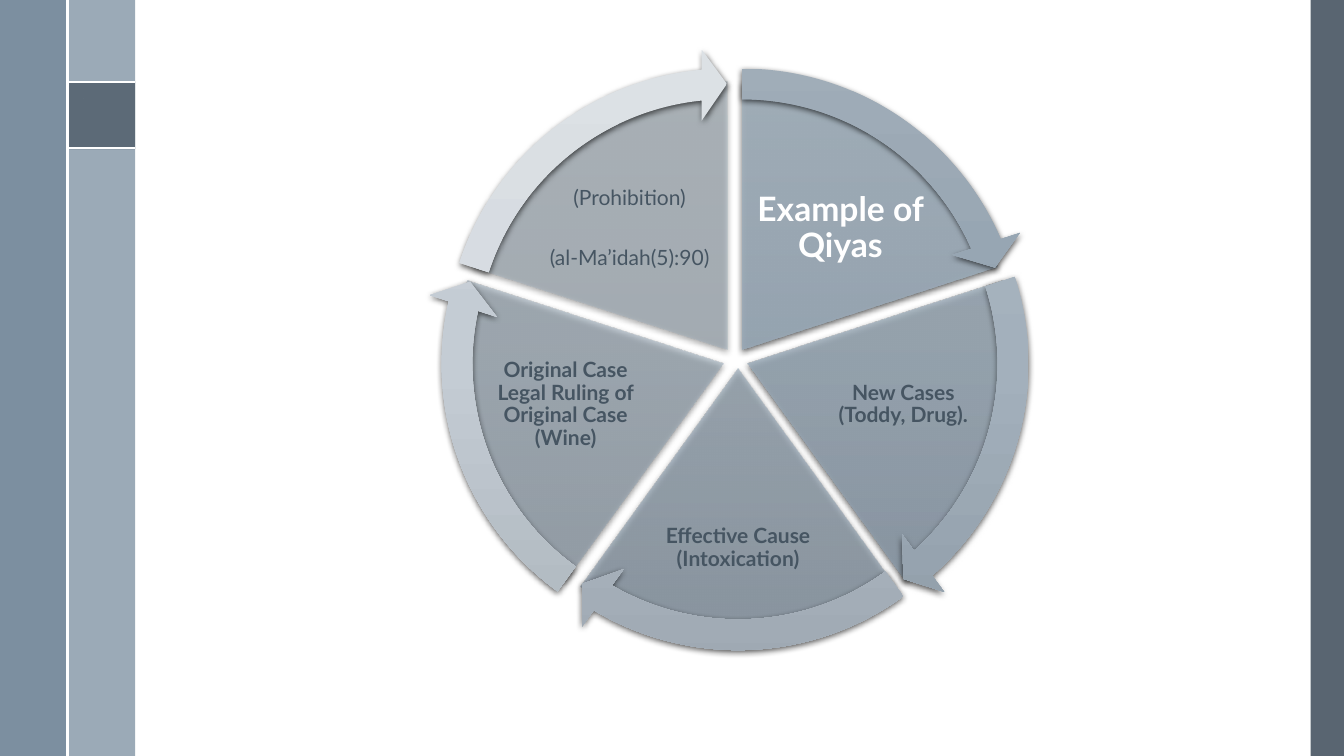
from lxml.etree import SubElement
from pptx import Presentation
from pptx.dml.color import RGBColor
from pptx.enum.shapes import MSO_CONNECTOR, MSO_SHAPE
from pptx.enum.text import MSO_ANCHOR, PP_ALIGN
from pptx.oxml.ns import qn
from pptx.util import Inches, Pt

WHITE = RGBColor(0xFF, 0xFF, 0xFF)
BLACK = RGBColor(0, 0, 0)
SLATE = RGBColor(0x47, 0x55, 0x62)
STEEL = RGBColor(0x6A, 0x80, 0x93)
MIST = RGBColor(0x9B, 0xAA, 0xB7)
INK = RGBColor(0x46, 0x55, 0x62)
PIE_COLORS = [RGBColor(0xA6, 0xB4, 0xBF), RGBColor(0x9A, 0xAA, 0xB8), RGBColor(0x87, 0x97, 0xA6)]
ARROW_COLORS = [
    [RGBColor(0xA0, 0xAD, 0xB8), RGBColor(0x93, 0xA2, 0xB0), RGBColor(0x81, 0x91, 0x9E)],
    [RGBColor(0xAF, 0xB9, 0xC3), RGBColor(0xA3, 0xB0, 0xBC), RGBColor(0x90, 0x9D, 0xA8)],
    [RGBColor(0xBE, 0xC6, 0xCE), RGBColor(0xB4, 0xBE, 0xC8), RGBColor(0x9F, 0xA9, 0xB3)],
    [RGBColor(0xCD, 0xD3, 0xD9), RGBColor(0xC4, 0xCC, 0xD4), RGBColor(0xAD, 0xB6, 0xBD)],
    [RGBColor(0xDC, 0xE1, 0xE5), RGBColor(0xD5, 0xDA, 0xE0), RGBColor(0xBC, 0xC2, 0xC8)],
]
FONT = "Lato"
PI_START = (0.35, 0)
PI_OUTLINE = [
    (0.07, 0), (0.02, 0, 0, 0.05, 0, 0.06), (0, 0.06, 0, 0.07, 0.01, 0.07),
    (0.02, 0.07), (0.02, 0.07, 0.04, 0.03, 0.07, 0.03), (0.11, 0.03),
    (0.11, 0.07, 0.1, 0.24, 0.05, 0.29), (0.04, 0.3, 0.04, 0.3, 0.05, 0.31),
    (0.06, 0.31), (0.07, 0.31), (0.12, 0.25, 0.13, 0.07, 0.14, 0.03),
    (0.23, 0.03), (0.22, 0.24), (0.22, 0.24, 0.21, 0.28, 0.24, 0.31),
    (0.25, 0.32, 0.26, 0.32, 0.27, 0.32), (0.27, 0.32, 0.28, 0.32, 0.29, 0.32),
    (0.34, 0.32, 0.36, 0.25, 0.36, 0.24), (0.36, 0.24, 0.35, 0.23, 0.35, 0.23),
    (0.34, 0.23, 0.33, 0.23, 0.33, 0.24), (0.33, 0.24, 0.32, 0.29, 0.28, 0.3),
    (0.27, 0.3, 0.26, 0.3, 0.25, 0.29), (0.24, 0.28, 0.24, 0.25, 0.24, 0.24),
    (0.26, 0.03), (0.35, 0.03), (0.36, 0.03, 0.36, 0.02, 0.36, 0.02),
    (0.36, 0.01, 0.36, 0, 0.35, 0),
]


def add_color(parent, color, alpha):
    clr = SubElement(parent, qn("a:srgbClr"), val=str(color))
    SubElement(clr, qn("a:alpha"), val=str(alpha * 1000))


def add_filled(slide, kind, box, colors, alpha=100, adj=(), shadow=False):
    s = slide.shapes.add_shape(kind, *map(Inches, box))
    for i, value in enumerate(adj):
        s.adjustments[i] = value
    s.shadow.inherit = False
    s.line.fill.background()
    if len(colors) == 1:
        s.fill.solid()
        s.fill.fore_color.rgb = colors[0]
        clr = s._element.spPr.find(".//" + qn("a:srgbClr"))
        SubElement(clr, qn("a:alpha"), val=str(alpha * 1000))
    else:
        s.fill.gradient()
        s.fill.gradient_angle = 270
        stops = s._element.spPr.find(".//" + qn("a:gsLst"))
        for gs in list(stops):
            stops.remove(gs)
        for i, color in enumerate(colors):
            add_color(SubElement(stops, qn("a:gs"), pos=str(i * 50000)), color, alpha)
    if shadow:
        effects = s._element.spPr.find(qn("a:effectLst"))
        shade = SubElement(effects, qn("a:outerShdw"), blurRad=str(Pt(4.5)),
                           dist=str(Pt(1.5)), dir="5400000", rotWithShape="0")
        add_color(shade, BLACK, 63)
    return s


def add_text(slide, box, lines, size=15, color=INK, bold=True, gap=0):
    s = slide.shapes.add_textbox(*map(Inches, box))
    tf = s.text_frame
    tf.word_wrap = True
    tf.vertical_anchor = MSO_ANCHOR.MIDDLE
    tf.margin_left = tf.margin_right = tf.margin_top = tf.margin_bottom = Inches(0.02)
    for i, line in enumerate(lines):
        p = tf.paragraphs[0] if i == 0 else tf.add_paragraph()
        p.alignment = PP_ALIGN.CENTER
        p.line_spacing = 0.9
        p.space_before = Pt(gap if i else 0)
        r = p.add_run()
        r.text = line
        r.font.name = FONT
        r.font.size = Pt(size)
        r.font.bold = bold
        r.font.color.rgb = color


def add_rule(slide, x1, y1, x2, y2):
    c = slide.shapes.add_connector(MSO_CONNECTOR.STRAIGHT, *map(Inches, (x1, y1, x2, y2)))
    c.line.color.rgb = WHITE
    c.line.width = Pt(1.5)
    SubElement(c._element.spPr, qn("a:effectLst"))


def add_pi(slide, left, top):
    x, y = PI_START
    points = []
    for seg in PI_OUTLINE:
        if len(seg) == 6:
            x1, y1, x2, y2, x3, y3 = seg
            for t in (0.2, 0.4, 0.6, 0.8):
                a, b, c, d = (1 - t) ** 3, 3 * t * (1 - t) ** 2, 3 * t * t * (1 - t), t ** 3
                points.append((a * x + b * x1 + c * x2 + d * x3, a * y + b * y1 + c * y2 + d * y3))
        x, y = seg[-2:]
        points.append((x, y))
    fb = slide.shapes.build_freeform(*PI_START, scale=Inches(1))
    fb.add_line_segments(points, close=True)
    s = fb.convert_to_shape(Inches(left), Inches(top))
    s.shadow.inherit = False
    s.fill.solid()
    s.fill.fore_color.rgb = WHITE
    s.line.fill.background()


def add_frame(slide, left, top, width, height):
    band, badge_top = 0.67, 0.81
    rect = MSO_SHAPE.RECTANGLE
    add_filled(slide, rect, (left + width - 0.33, top, 0.33, height), [SLATE], 90)
    add_filled(slide, rect, (left + band, top, band, height), [MIST])
    add_filled(slide, rect, (left, top, band, height), [STEEL], 88)
    add_filled(slide, rect, (left + band, top + badge_top, band, band), [SLATE], 75)
    for y in (top + badge_top, top + badge_top + 0.66):
        add_rule(slide, left + band, y, left + 2 * band, y)
    add_pi(slide, left + 0.83, top + 0.98)
    add_rule(slide, left + band, top, left + band, top + height)


def add_cycle(slide, left, top, size):
    sector, start, tip, rim = 43.2, 162, 3.275, 0.33
    offsets = [(0.19, 0), (0.24, 0.14), (0.15, 0.19), (0, 0.14), (0.04, 0)]
    labels = [
        ((2.97, 0.89, 1.71, 1.14), ["Example of Qiyas"], dict(size=24, color=WHITE)),
        ((3.66, 2.57, 1.58, 1.27), ["New Cases (Toddy, Drug)."], {}),
        ((2.05, 3.93, 1.52, 1.39), ["Effective Cause (Intoxication)"], {}),
        ((0.31, 2.57, 1.58, 1.27), ["Original Case Legal Ruling of Original Case (Wine)"], {}),
        ((0.88, 0.89, 1.71, 1.14), ["(Prohibition)", "(al-Ma’idah(5):90)"],
         dict(bold=False, gap=26.6)),
    ]
    for i, ((dx, dy), (box, lines, style)) in enumerate(zip(offsets, labels)):
        begin = (start + i * sector) % 216
        end = (begin + sector) % 216
        add_filled(slide, MSO_SHAPE.PIE, (left + dx, top + dy, size, size), PIE_COLORS,
                   90 - 10 * i, (begin, end), True)
        x, y, w, h = box
        add_text(slide, (left + x, top + y, w, h), lines, **style)
    for i, ((dx, dy), colors) in enumerate(zip(offsets, ARROW_COLORS)):
        begin = (start + i * sector) % 216
        end = (begin + sector) % 216
        box = (left + dx - rim, top + dy - rim, size + 2 * rim, size + 2 * rim)
        add_filled(slide, MSO_SHAPE.CIRCULAR_ARROW, box, colors,
                   adj=(0.051, tip, end - tip, begin, 0.059), shadow=True)


def main():
    prs = Presentation()
    prs.slide_width = Inches(13.33)
    prs.slide_height = Inches(7.5)
    slide = prs.slides.add_slide(prs.slide_layouts[6])
    add_frame(slide, 0, 0, 13.33, 7.5)
    add_cycle(slide, 4.51, 0.81, 5.32)
    prs.save("out.pptx")


if __name__ == "__main__":
    main()
